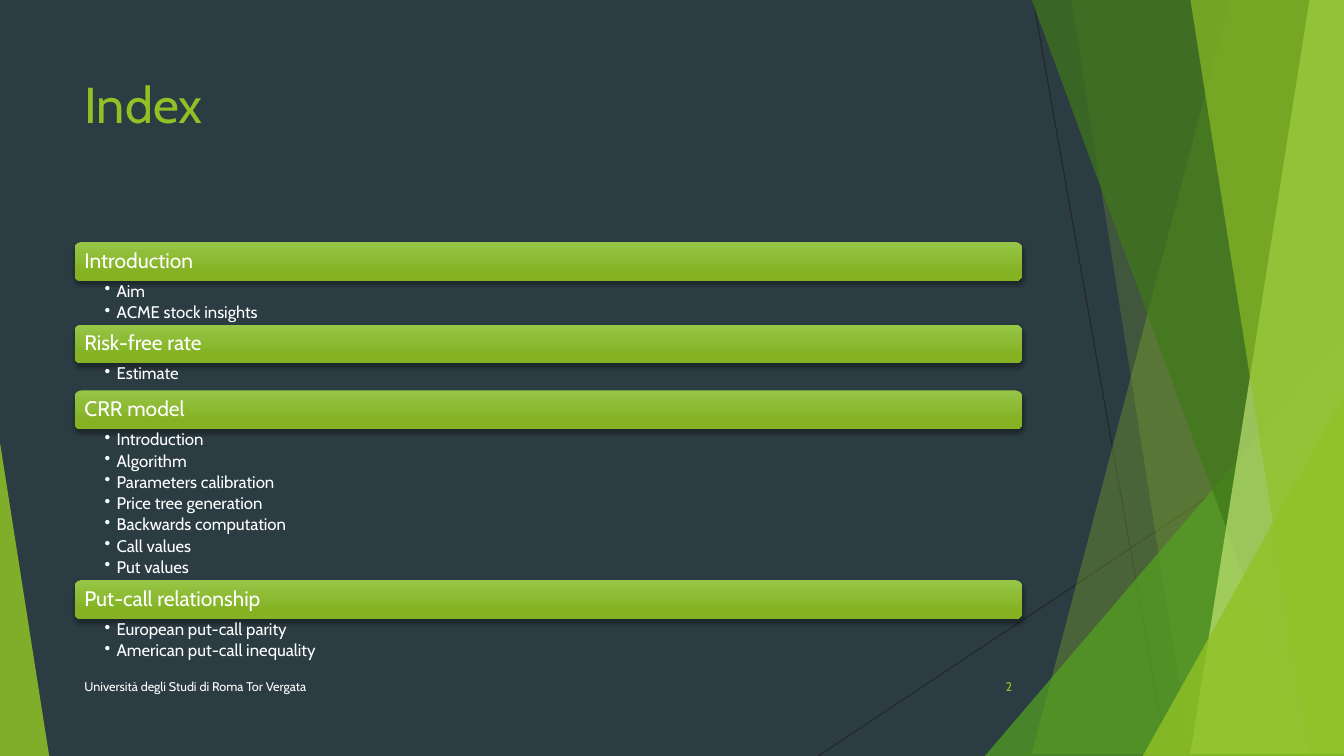
from lxml import etree
from pptx import Presentation
from pptx.dml.color import RGBColor
from pptx.enum.shapes import MSO_CONNECTOR, MSO_SHAPE
from pptx.enum.text import MSO_ANCHOR, MSO_AUTO_SIZE, PP_ALIGN
from pptx.oxml.ns import qn
from pptx.util import Cm, Pt

STRAIGHT = MSO_CONNECTOR.STRAIGHT
TRIANGLE, ROUNDED = MSO_SHAPE.ISOSCELES_TRIANGLE, MSO_SHAPE.ROUNDED_RECTANGLE
TOP, MIDDLE = MSO_ANCHOR.TOP, MSO_ANCHOR.MIDDLE
LEFT, RIGHT = PP_ALIGN.LEFT, PP_ALIGN.RIGHT
NO_FIT = MSO_AUTO_SIZE.NONE

FONT = "Cabin"
COLORS = {
    "background": "2C3C43", "line": "262626", "shadow": "000000", "text": "FFFFFF",
    "lime": "90C226", "green": "54A021", "forest": "3F7819", "pale": "C0E474",
    "bar_top": "97C547", "bar_bottom": "84B223",
}

# Lengths in centimetres
SLIDE_W, SLIDE_H = 33.87, 19.05
MARGIN, CONTENT_W = 1.88, 23.88
BAR_TOP, BAR_H = 6.1, 0.98

# Heading, height of its list, list items
SECTIONS = [
    ("Introduction", 1.1, ["Aim", "ACME stock insights"]),
    ("Risk-free rate", 0.68, ["Estimate"]),
    ("CRR model", 3.8, ["Introduction", "Algorithm", "Parameters calibration",
                        "Price tree generation", "Backwards computation",
                        "Call values", "Put values"]),
    ("Put-call relationship", 1.1, ["European put-call parity",
                                    "American put-call inequality"]),
]


def rgb(name):
    return RGBColor.from_string(COLORS[name])


def fill_plain(sp, color, opacity):
    sp.shadow.inherit = False
    sp.line.fill.background()
    sp.fill.solid()
    sp.fill.fore_color.rgb = rgb(color)
    clr = sp.element.spPr.find(".//" + qn("a:srgbClr"))
    etree.SubElement(clr, qn("a:alpha"), val=str(opacity * 1000))


def add_line(slide, x1, y1, x2, y2):
    sp = slide.shapes.add_connector(STRAIGHT, Cm(x1), Cm(y1), Cm(x2), Cm(y2))
    sp.line.color.rgb = rgb("line")
    sp.line.width = Pt(0.75)
    etree.SubElement(sp.element.spPr, qn("a:effectLst"))


def add_panel(slide, top_x, bottom_x, color, opacity):
    """Full-height panel with a slanted left edge, reaching the right slide edge."""
    builder = slide.shapes.build_freeform(top_x, 0, scale=Cm(1))
    builder.add_line_segments([(SLIDE_W, 0), (SLIDE_W, SLIDE_H), (bottom_x, SLIDE_H)])
    fill_plain(builder.convert_to_shape(), color, opacity)


def add_corner(slide, left, top, width, apex, color, opacity):
    """Right triangle standing on the bottom slide edge."""
    sp = slide.shapes.add_shape(TRIANGLE, Cm(left), Cm(top), Cm(width), Cm(SLIDE_H - top))
    sp.adjustments[0] = apex
    fill_plain(sp, color, opacity)


def set_frame(tf, anchor, left, top, right, bottom):
    tf.word_wrap = True
    tf.auto_size = NO_FIT
    tf.vertical_anchor = anchor
    tf.margin_left, tf.margin_top = Cm(left), Cm(top)
    tf.margin_right, tf.margin_bottom = Cm(right), Cm(bottom)


def format_paragraph(p, size, color="text", align=LEFT):
    p.alignment = align
    for r in p.runs:
        r.font.name = FONT
        r.font.size = Pt(size)
        r.font.color.rgb = rgb(color)


def add_label(slide, text, left, width, color="text", align=LEFT):
    sp = slide.shapes.add_textbox(Cm(left), Cm(16.79), Cm(width), Cm(1.01))
    tf = sp.text_frame
    set_frame(tf, MIDDLE, 0.25, 0.13, 0.25, 0.13)
    tf.text = text
    format_paragraph(tf.paragraphs[0], 9, color, align)


def add_bar(slide, text, top):
    sp = slide.shapes.add_shape(ROUNDED, Cm(MARGIN), Cm(top), Cm(CONTENT_W), Cm(BAR_H))
    sp.line.fill.background()
    sp.fill.gradient()
    sp.fill.gradient_angle = 270
    first, last = sp.fill.gradient_stops
    first.color.rgb, first.position = rgb("bar_top"), 0
    last.color.rgb, last.position = rgb("bar_bottom"), 0.78

    # Soft shadow below the bar
    sp.shadow.inherit = False
    effects = sp.element.spPr.find(qn("a:effectLst"))
    shadow = etree.SubElement(effects, qn("a:outerShdw"), blurRad=str(Pt(3)),
                              dist=str(Pt(2)), dir="5400000", rotWithShape="0")
    clr = etree.SubElement(shadow, qn("a:srgbClr"), val=COLORS["shadow"])
    etree.SubElement(clr, qn("a:alpha"), val="35000")

    tf = sp.text_frame
    set_frame(tf, MIDDLE, 0.2, 0.15, 0.2, 0.15)
    tf.text = text
    tf.paragraphs[0].line_spacing = 0.9
    format_paragraph(tf.paragraphs[0], 15)


def add_list(slide, items, top, height):
    sp = slide.shapes.add_textbox(Cm(MARGIN), Cm(top), Cm(CONTENT_W), Cm(height))
    tf = sp.text_frame
    set_frame(tf, TOP, 0.76, 0.05, 0.3, 0.05)
    tf.text = "\n".join(items)
    for p in tf.paragraphs:
        pPr = p._p.get_or_add_pPr()
        pPr.set("marL", str(Cm(0.3)))
        pPr.set("indent", str(-Cm(0.3)))
        etree.SubElement(pPr, qn("a:buChar"), char="•")
        p.level = 1
        p.line_spacing = 0.9
        p.space_after = Pt(2.2)
        format_paragraph(p, 12)


def add_decoration(slide):
    add_line(slide, 26.04, 0, 29.41, SLIDE_H)
    add_line(slide, SLIDE_W, 10.24, 20.62, SLIDE_H)
    add_panel(slide, 31.19, 25.5, "lime", 30)
    add_panel(slide, 26.67, 30.05, "lime", 20)
    add_corner(slide, 24.82, 8.46, SLIDE_W - 24.82, 1, "green", 72)
    add_panel(slide, 25.93, 32.79, "forest", 70)
    add_panel(slide, 33.1, 30.28, "pale", 70)
    add_panel(slide, 30.38, 33.48, "lime", 65)
    add_corner(slide, 28.8, 9.98, SLIDE_W - 28.8, 1, "lime", 80)
    add_corner(slide, 0, 11.15, 1.24, 0, "lime", 85)


def set_title(slide, text):
    sp = slide.shapes.title
    sp.left, sp.top, sp.width, sp.height = Cm(MARGIN), Cm(1.7), Cm(CONTENT_W), Cm(3.66)
    set_frame(sp.text_frame, TOP, 0.25, 0.13, 0.25, 0.13)
    sp.text_frame.text = text
    format_paragraph(sp.text_frame.paragraphs[0], 36, "lime")


def main():
    prs = Presentation()
    prs.slide_width, prs.slide_height = Cm(SLIDE_W), Cm(SLIDE_H)
    slide = prs.slides.add_slide(prs.slide_layouts[5])
    slide.background.fill.solid()
    slide.background.fill.fore_color.rgb = rgb("background")

    add_decoration(slide)
    set_title(slide, "Index")

    # Sections stacked one below the other
    top = BAR_TOP
    for heading, list_height, items in SECTIONS:
        add_bar(slide, heading, top)
        add_list(slide, items, top + BAR_H, list_height)
        top += BAR_H + list_height

    # Footer and slide number
    add_label(slide, "Università degli Studi di Roma Tor Vergata", MARGIN, 17.5)
    add_label(slide, "2", 23.85, 1.91, "lime", RIGHT)

    prs.save("out.pptx")


if __name__ == "__main__":
    main()
